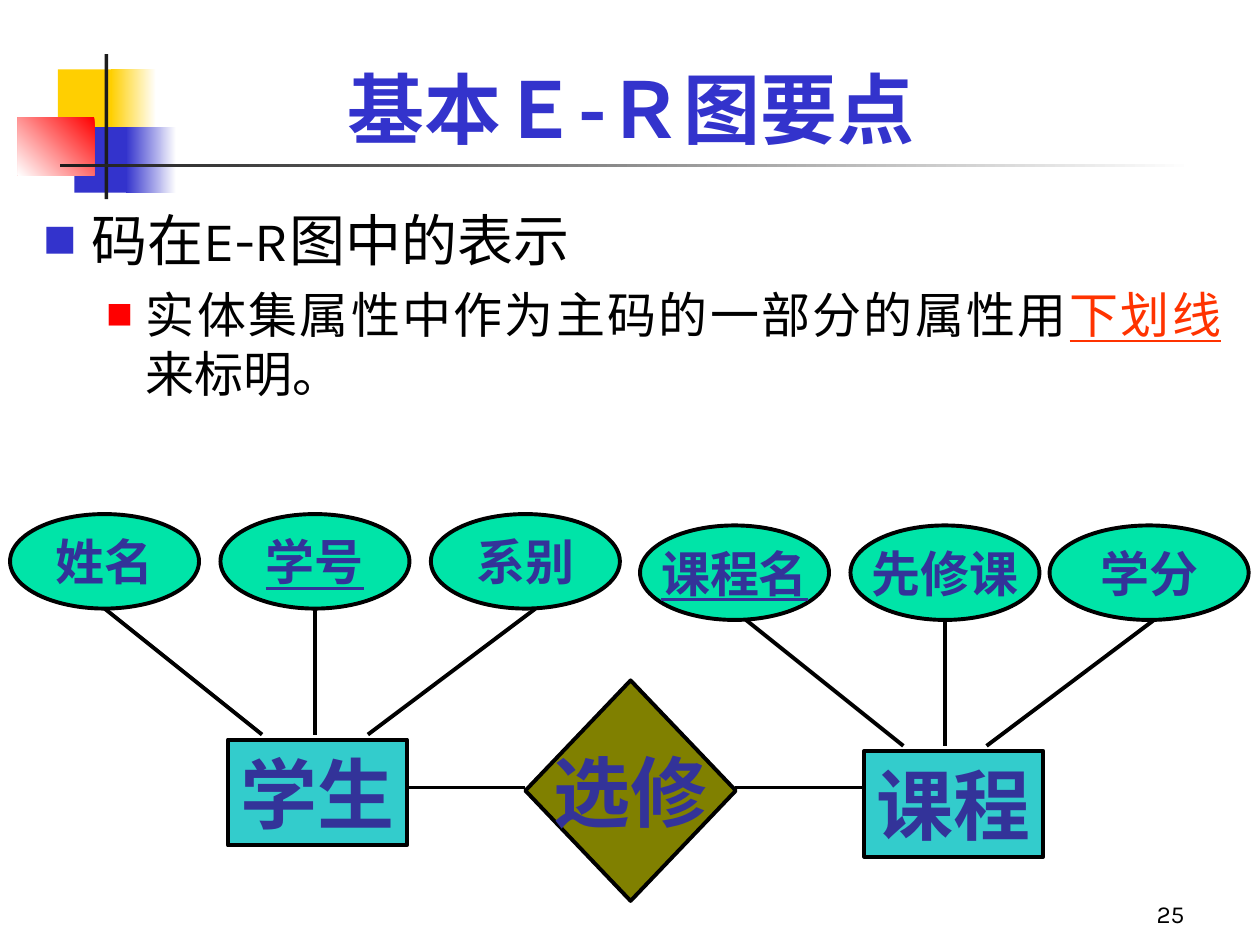
from lxml import etree
from pptx import Presentation
from pptx.dml.color import RGBColor
from pptx.enum.shapes import MSO_CONNECTOR, MSO_SHAPE
from pptx.enum.text import MSO_ANCHOR, MSO_AUTO_SIZE, PP_ALIGN
from pptx.oxml.ns import qn
from pptx.util import Inches, Pt

RECTANGLE, OVAL, DIAMOND = MSO_SHAPE.RECTANGLE, MSO_SHAPE.OVAL, MSO_SHAPE.DIAMOND
STRAIGHT = MSO_CONNECTOR.STRAIGHT
MIDDLE, BOTTOM = MSO_ANCHOR.MIDDLE, MSO_ANCHOR.BOTTOM
CENTER, RIGHT, JUSTIFY = PP_ALIGN.CENTER, PP_ALIGN.RIGHT, PP_ALIGN.JUSTIFY
NO_AUTOFIT = MSO_AUTO_SIZE.NONE

BLACK = RGBColor(0x00, 0x00, 0x00)
WHITE = RGBColor(0xFF, 0xFF, 0xFF)
CHARCOAL = RGBColor(0x1C, 0x1C, 0x1C)
YELLOW = RGBColor(0xFF, 0xCF, 0x01)
BLUE = RGBColor(0x33, 0x33, 0xCC)
RED = RGBColor(0xFF, 0x00, 0x00)
ORANGE_RED = RGBColor(0xFF, 0x33, 0x00)
INDIGO = RGBColor(0x33, 0x33, 0x99)
TURQUOISE = RGBColor(0x33, 0xCC, 0xCC)
OLIVE = RGBColor(0x80, 0x80, 0x00)
MINT = RGBColor(0x00, 0xE4, 0xA8)

CJK_FONT = "Noto Sans CJK SC"
BODY_FONT = "Karla"
DIAGRAM_FONT = "Times New Roman"


def format_run(run, font_name, size, color, bold=False, underline=False):
    font = run.font
    font.size, font.bold, font.underline = Pt(size), bold, underline
    font.color.rgb = color
    font.name = font_name
    east_asian = etree.Element(qn("a:ea"), typeface=CJK_FONT)
    font._element.find(qn("a:latin")).addnext(east_asian)


def add_bullet(paragraph, color, percent, margin, hanging):
    properties = paragraph._p.get_or_add_pPr()
    properties.set("marL", str(Inches(margin)))
    properties.set("indent", str(-Inches(hanging)))
    bullet_color = etree.SubElement(properties, qn("a:buClr"))
    etree.SubElement(bullet_color, qn("a:srgbClr"), val=str(color))
    etree.SubElement(properties, qn("a:buSzPct"), val=str(percent * 1000))
    etree.SubElement(properties, qn("a:buFont"), typeface=CJK_FONT)
    etree.SubElement(properties, qn("a:buChar"), char="■")


def add_block(slide, box, start, end=None, angle=0):
    """Add a borderless rectangle, plain or fading from start to end."""
    block = slide.shapes.add_shape(RECTANGLE, *map(Inches, box))
    block.shadow.inherit = False
    block.line.fill.background()
    if end is None:
        block.fill.solid()
        block.fill.fore_color.rgb = start
        return
    block.fill.gradient()
    block.fill.gradient_angle = angle
    for stop, color, position in zip(block.fill.gradient_stops, (start, end), (0, 1)):
        stop.color.rgb = color
        stop.position = position


def add_ornament(slide, left, top):
    add_block(slide, (left + 0.32, top + 0.12, 0.48, 0.52), YELLOW)
    add_block(slide, (left + 0.74, top + 0.12, 0.36, 0.52), WHITE, YELLOW, 180)
    add_block(slide, (left + 0.45, top + 0.58, 0.46, 0.52), BLUE)
    add_block(slide, (left + 0.86, top + 0.58, 0.4, 0.52), WHITE, BLUE, 180)
    add_block(slide, (left, top + 0.5, 0.61, 0.46), RED, WHITE, 225)
    add_block(slide, (left + 0.69, top, 0.03, 1.15), CHARCOAL)
    add_block(slide, (left + 0.34, top + 0.87, 9, 0.03), WHITE, CHARCOAL, 180)


def set_title(slide, left, top, width, height):
    title = slide.shapes.title
    title.left, title.top = Inches(left), Inches(top)
    title.width, title.height = Inches(width), Inches(height)
    frame = title.text_frame
    frame.text = "基本Ｅ-Ｒ图要点"
    frame.auto_size = NO_AUTOFIT
    frame.vertical_anchor = BOTTOM
    heading = frame.paragraphs[0]
    heading.alignment = CENTER
    format_run(heading.runs[0], CJK_FONT, 44, BLUE, bold=True)


def add_points(slide, left, top, width, height):
    box = slide.shapes.add_textbox(*map(Inches, (left, top, width, height)))
    frame = box.text_frame
    frame.word_wrap = True
    topic = frame.paragraphs[0]
    topic.text = "码在E-R图中的表示"
    topic.alignment = JUSTIFY
    add_bullet(topic, BLUE, 60, 0.38, 0.38)
    format_run(topic.runs[0], BODY_FONT, 32, BLACK)

    detail = frame.add_paragraph()
    detail.level = 1
    detail.alignment = JUSTIFY
    detail.space_before = Pt(7)
    add_bullet(detail, RED, 55, 0.81, 0.31)
    for words, color, underline in (
        ("实体集属性中作为主码的一部分的属性用", BLACK, False),
        ("下划线", ORANGE_RED, True),
        ("来标明。", BLACK, False),
    ):
        run = detail.add_run()
        run.text = words
        format_run(run, BODY_FONT, 28, color, underline=underline)


def add_node(slide, kind, box, label, fill, size, underline=False):
    node = slide.shapes.add_shape(kind, *map(Inches, box))
    node.shadow.inherit = False
    node.fill.solid()
    node.fill.fore_color.rgb = fill
    node.line.color.rgb = BLACK
    node.line.width = Pt(2.25)
    frame = node.text_frame
    frame.text = label
    frame.word_wrap = False
    frame.vertical_anchor = MIDDLE
    frame.paragraphs[0].alignment = CENTER
    format_run(frame.paragraphs[0].runs[0], DIAGRAM_FONT, size, INDIGO, True, underline)


def add_link(slide, *ends):
    link = slide.shapes.add_connector(STRAIGHT, *map(Inches, ends))
    link.line.color.rgb = BLACK
    link.line.width = Pt(2.25)
    etree.SubElement(link._element.spPr, qn("a:effectLst"))


def add_entity(slide, left, top, name, name_left, attributes, key, foot):
    """Add an entity below its attributes; foot is how far the outer links
    land from the middle one."""
    center = left + 2.42
    add_node(slide, RECTANGLE, (name_left, top + 1.79, 1.42, 0.84), name, TURQUOISE, 44)
    for index, (attribute, shift, width) in enumerate(attributes):
        box = (left + 1.67 * index + shift, top, width, 0.75)
        add_node(slide, OVAL, box, attribute, MINT, 28, attribute == key)
    for offset, spread in ((-foot, -1.25), (0, 0), (foot, 1.33)):
        x = center + offset
        add_link(slide, x, top + 1.75, x + spread, top + 0.75)


def add_er_diagram(slide, left, top):
    middle = top + 2.17
    add_link(slide, left + 3.15, middle, left + 4.09, middle)
    add_link(slide, left + 5.75, middle, left + 6.78, middle)
    add_node(slide, DIAMOND, (left + 4.09, top + 1.32, 1.67, 1.75), "选修", OLIVE, 44)
    add_entity(slide, left, top, "学生", left + 1.73,
               (("姓名", 0, 1.5), ("学号", 0, 1.5), ("系别", 0, 1.5)), "学号", 0.42)
    add_entity(slide, left + 5, top + 0.09, "课程", left + 6.78,
               (("课程名", 0, 1.5), ("先修课", 0, 1.5), ("学分", -0.09, 1.58)),
               "课程名", 0.33)


def add_page_number(slide, left, top, width, height):
    box = slide.shapes.add_textbox(*map(Inches, (left, top, width, height)))
    frame = box.text_frame
    frame.word_wrap = True
    frame.vertical_anchor = BOTTOM
    frame.text = "25"
    frame.paragraphs[0].alignment = RIGHT
    format_run(frame.paragraphs[0].runs[0], BODY_FONT, 14, BLACK)


def main():
    presentation = Presentation()
    presentation.slide_width, presentation.slide_height = Inches(10), Inches(7.5)
    slide = presentation.slides.add_slide(presentation.slide_layouts[5])
    add_ornament(slide, 0.14, 0.43)
    set_title(slide, 0.75, 0.25, 8.52, 1.02)
    add_points(slide, 0.25, 1.58, 9.54, 5.67)
    add_er_diagram(slide, 0.08, 4.08)
    add_page_number(slide, 7.42, 6.92, 2.08, 0.5)
    presentation.save("out.pptx")


if __name__ == "__main__":
    main()
